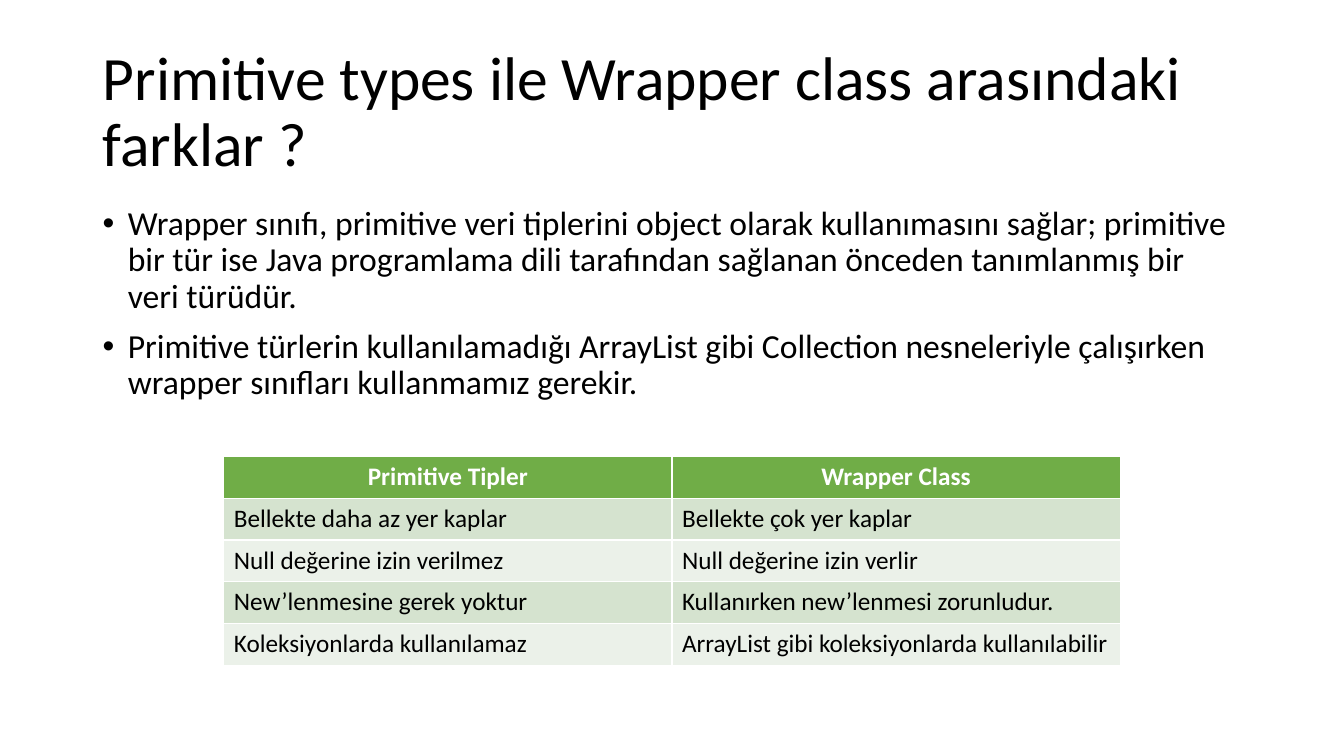
"""Build the slide comparing primitive types with wrapper classes."""
import pptx
import pptx.dml.color
import pptx.enum.text
import pptx.oxml.ns
import pptx.util
from lxml import etree

Inches = pptx.util.Inches
RGBColor = pptx.dml.color.RGBColor
ALIGN = pptx.enum.text.PP_ALIGN
ANCHOR = pptx.enum.text.MSO_ANCHOR

BLACK = RGBColor(0x00, 0x00, 0x00)
WHITE = RGBColor(0xFF, 0xFF, 0xFF)
GREEN = RGBColor(0x70, 0xAD, 0x47)
BANDS = [RGBColor(0xD5, 0xE3, 0xCF), RGBColor(0xEB, 0xF1, 0xE9)]
FONT = "Calibri"

TITLE = "Primitive types ile Wrapper class arasındaki farklar ?"
POINTS = [
    "Wrapper sınıfı, primitive veri tiplerini object olarak kullanımasını sağlar; "
    "primitive bir tür ise Java programlama dili tarafından sağlanan önceden "
    "tanımlanmış bir veri türüdür.",
    "Primitive türlerin kullanılamadığı ArrayList gibi Collection nesneleriyle "
    "çalışırken wrapper sınıfları kullanmamız gerekir.",
]
ROWS = [
    ("Primitive Tipler", "Wrapper Class"),
    ("Bellekte daha az yer kaplar", "Bellekte çok yer kaplar"),
    ("Null değerine izin verilmez", "Null değerine izin verlir"),
    ("New’lenmesine gerek yoktur", "Kullanırken new’lenmesi zorunludur."),
    ("Koleksiyonlarda kullanılamaz", "ArrayList gibi koleksiyonlarda kullanılabilir"),
]


def write(frame, lines, size, color=BLACK, bold=False, align=ALIGN.LEFT,
          line=1.0, before=0, bullet=None):
    """Fill a text frame with formatted paragraphs."""
    frame.word_wrap = True
    for i, text in enumerate(lines):
        para = frame.add_paragraph() if i else frame.paragraphs[0]
        para.alignment = align
        para.line_spacing = line
        para.space_before = pptx.util.Pt(before)
        run = para.add_run()
        run.text = text
        font = run.font
        font.name, font.size, font.bold = FONT, pptx.util.Pt(size), bold
        font.color.rgb = color
        if bullet:
            props = para._p.get_or_add_pPr()
            props.set("marL", str(Inches(0.25)))
            props.set("indent", str(Inches(-0.25)))
            for tag, key, value in (("a:buFont", "typeface", "Arial"),
                                    ("a:buChar", "char", bullet)):
                etree.SubElement(props, pptx.oxml.ns.qn(tag)).set(key, value)


def main():
    """Lay out the title, the points and the table."""
    deck = pptx.Presentation()
    deck.slide_width, deck.slide_height = Inches(13.33), Inches(7.5)
    slide = deck.slides.add_slide(deck.slide_layouts[5])
    shapes = slide.shapes

    title = shapes.title
    title.left, title.top = Inches(0.92), Inches(0.4)
    title.width, title.height = Inches(11.5), Inches(1.45)
    title.text_frame.auto_size = pptx.enum.text.MSO_AUTO_SIZE.NONE
    title.text_frame.vertical_anchor = ANCHOR.MIDDLE
    write(title.text_frame, [TITLE], 44, line=0.9)

    body = shapes.add_textbox(Inches(0.92), Inches(2), Inches(11.5), Inches(4.76))
    write(body.text_frame, POINTS, 24, line=0.9, before=10, bullet="•")

    grid = shapes.add_table(len(ROWS), 2, Inches(2.22), Inches(4.53),
                            Inches(8.89), Inches(2.07)).table
    for r, row in enumerate(ROWS):
        head = r == 0
        for c, text in enumerate(row):
            cell = grid.cell(r, c)
            cell.fill.solid()
            cell.fill.fore_color.rgb = GREEN if head else BANDS[(r - 1) % 2]
            write(cell.text_frame, [text], 18, bold=head,
                  color=WHITE if head else BLACK,
                  align=ALIGN.CENTER if head else ALIGN.LEFT)

    deck.save("out.pptx")


if __name__ == "__main__":
    main()
